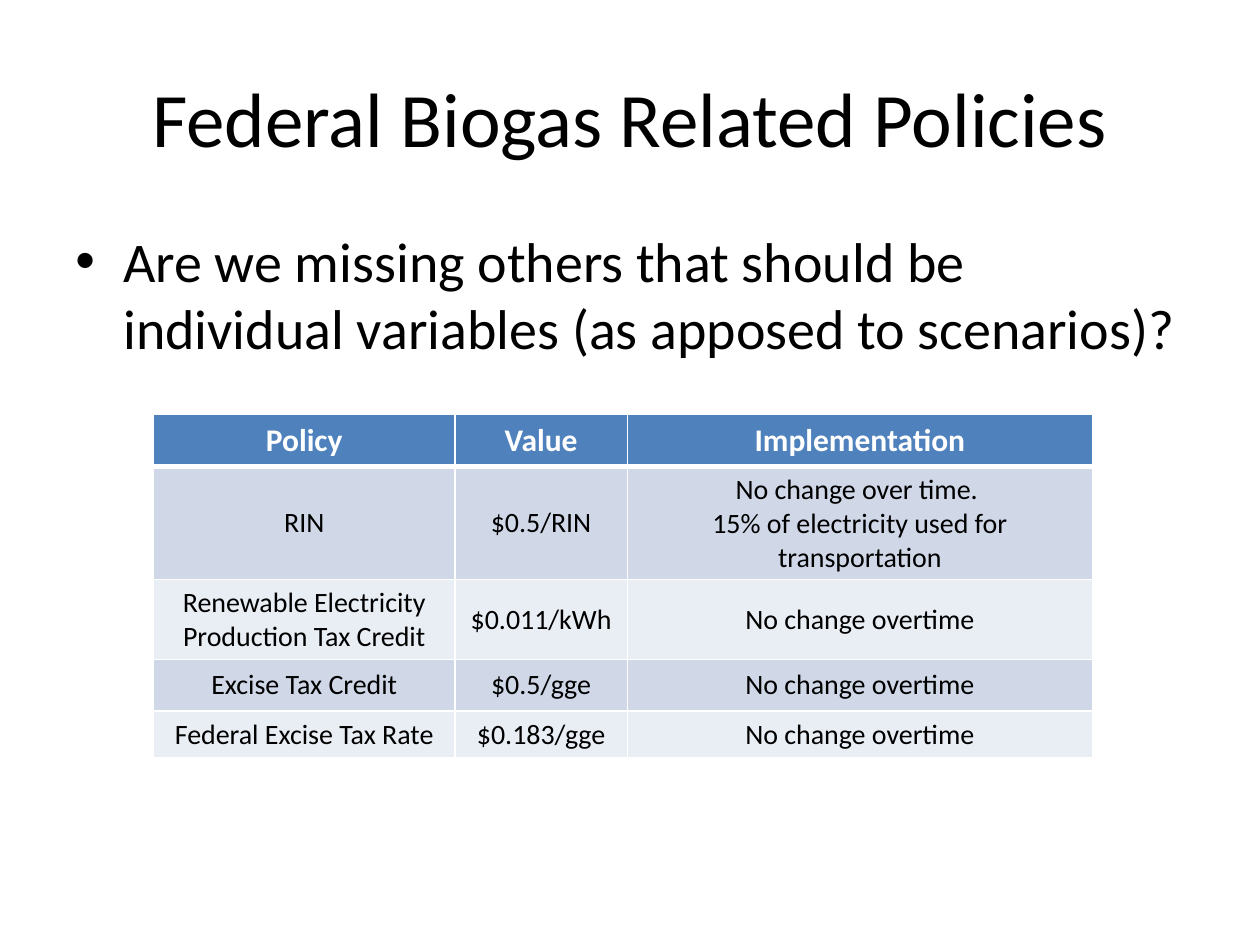
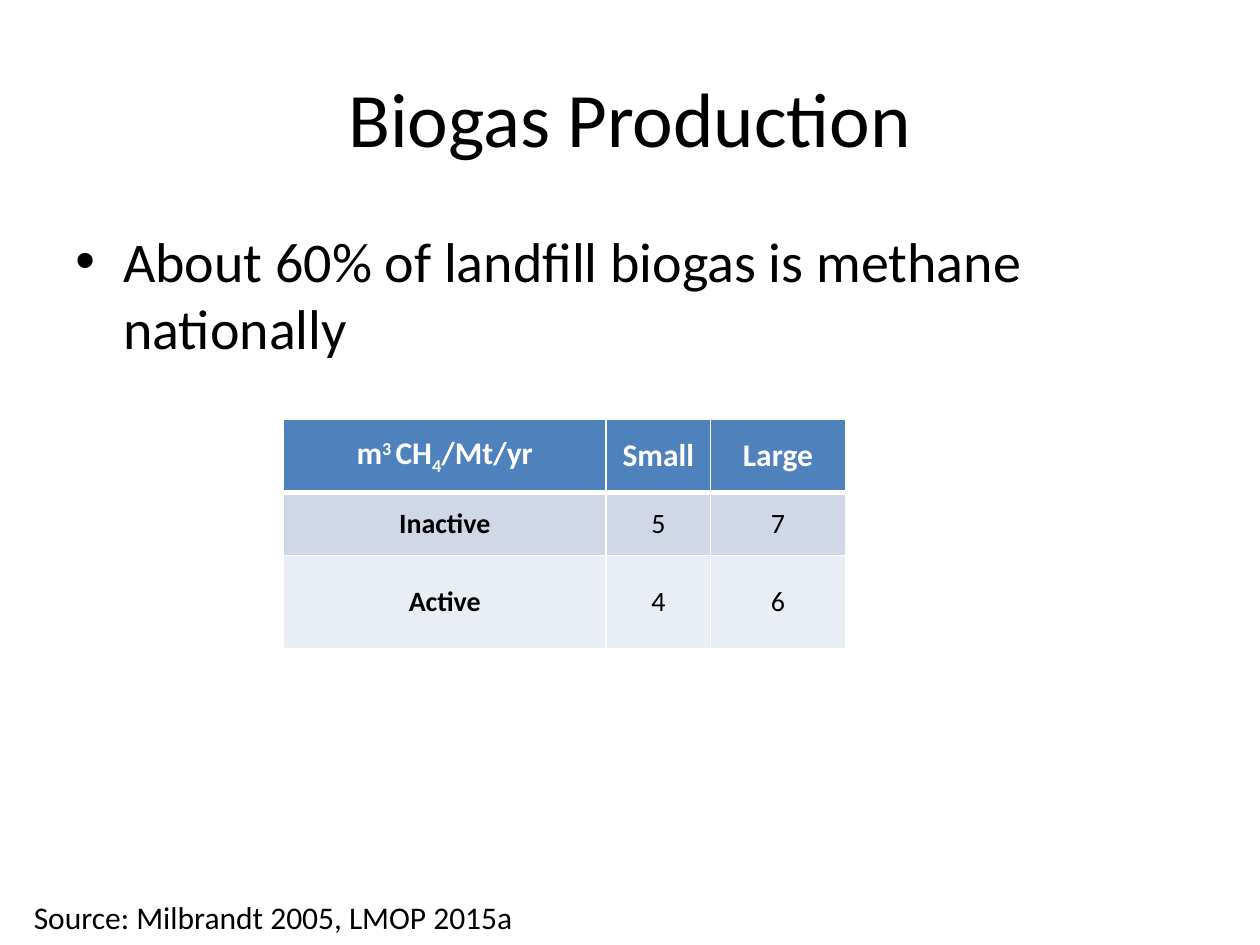
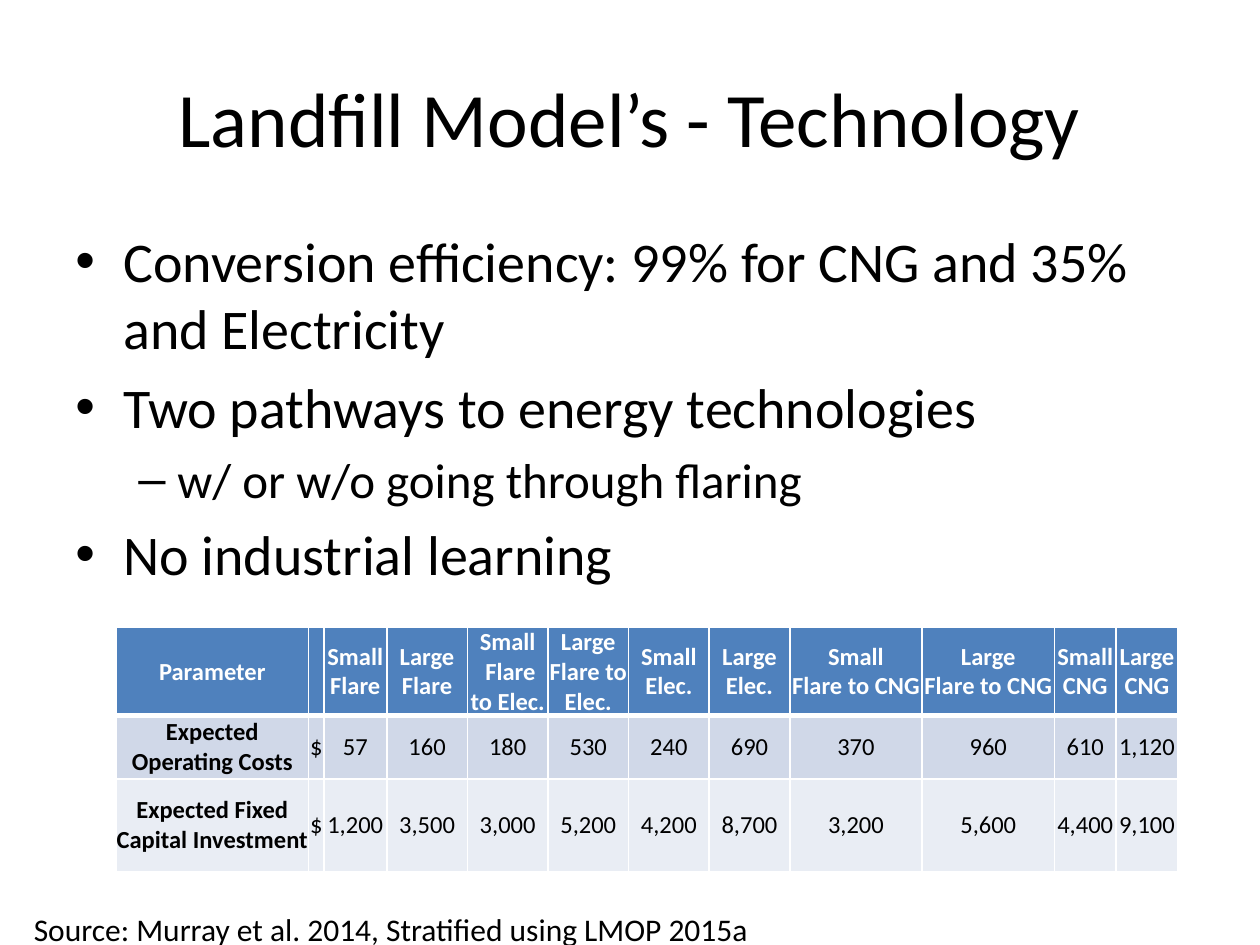
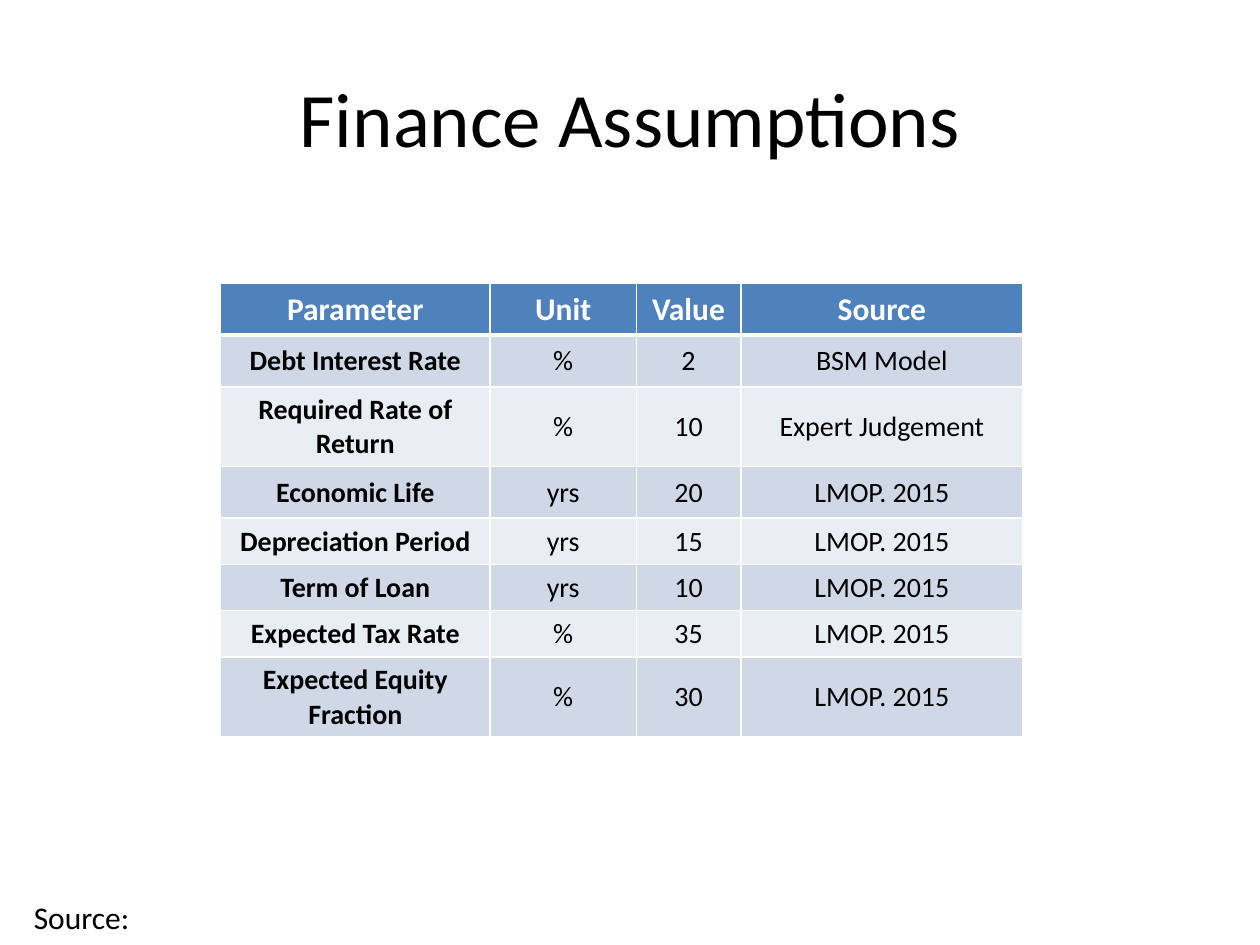
import dataclasses

import lxml.etree
import pptx
import pptx.dml.color
import pptx.enum.text
import pptx.oxml.ns
import pptx.util

ALIGN = pptx.enum.text.PP_ALIGN
ANCHOR = pptx.enum.text.MSO_ANCHOR
FIT = pptx.enum.text.MSO_AUTO_SIZE
qn = pptx.oxml.ns.qn


@dataclasses.dataclass(frozen=True)
class Theme:
    font: str = "Calibri"
    ink: str = "000000"
    paper: str = "FFFFFF"
    head: str = "4F81BD"
    bands: tuple = ("D0D8E8", "E9EDF4")
    title: int = 44
    points: tuple = (32, 28)
    marks: tuple = ("•", "–")
    indents: tuple = ((3.8, -3.8), (8.1, -3.1))
    note: int = 18
    thin: int = 1
    thick: int = 3


class Deck:
    COLS, ROWS = 100, 75

    def __init__(self, theme):
        self.theme = theme
        self.file = pptx.Presentation()
        self.file.slide_width = pptx.util.Inches(10)
        self.file.slide_height = pptx.util.Inches(7.5)
        self.slide = None

    def x(self, cols):
        return round(self.file.slide_width * cols / self.COLS)

    def y(self, rows):
        return round(self.file.slide_height * rows / self.ROWS)

    def area(self, left, top, width, height):
        return self.x(left), self.y(top), self.x(width), self.y(height)

    def start(self, title):
        self.slide = self.file.slides.add_slide(self.file.slide_layouts[6])
        frame = self.box(5, 3, 90, 12.5)
        frame.vertical_anchor = ANCHOR.MIDDLE
        para = frame.paragraphs[0]
        para.alignment = ALIGN.CENTER
        self.run(para, title, self.theme.title)

    def box(self, *area):
        frame = self.slide.shapes.add_textbox(*self.area(*area)).text_frame
        frame.word_wrap = True
        return frame

    def run(self, para, text, size, color=None, bold=False, base=0):
        run = para.add_run()
        run.text = text
        font = run.font
        font.name = self.theme.font
        font.size = pptx.util.Pt(size)
        font.bold = bold
        font.color.rgb = pptx.dml.color.RGBColor.from_string(color or self.theme.ink)
        if base:
            run._r.get_or_add_rPr().set("baseline", str(base * 1000))

    def paras(self, frame, count):
        return [frame.paragraphs[0]] + [frame.add_paragraph() for _ in range(count - 1)]

    def points(self, *items):
        frame = self.box(5, 17.5, 90, 49.5)
        for para, (level, text) in zip(self.paras(frame, len(items)), items):
            size = self.theme.points[level]
            para.level = level
            para.space_before = pptx.util.Pt(size * 0.2)
            props = para._p.get_or_add_pPr()
            margin, indent = self.theme.indents[level]
            props.set("marL", str(self.x(margin)))
            props.set("indent", str(self.x(indent)))
            lxml.etree.SubElement(props, qn("a:buFont")).set("typeface", "Arial")
            lxml.etree.SubElement(props, qn("a:buChar")).set("char", self.theme.marks[level])
            self.run(para, text, size)

    def note(self, text, width, top=70.8):
        frame = self.box(1.7, top, width, 4)
        frame.word_wrap = False
        frame.auto_size = FIT.SHAPE_TO_FIT_TEXT
        self.run(frame.paragraphs[0], text, self.theme.note)

    def table(self, left, top, height, cols, rows, data, sizes=(18, 16), tight=False, lead=True):
        area = self.area(left, top, sum(cols), height)
        shape = self.slide.shapes.add_table(len(rows), len(cols), *area)
        grid = shape.table
        for col, width in zip(grid.columns, cols):
            col.width = self.x(width)
        for row, tall in zip(grid.rows, rows):
            row.height = self.y(tall)
        shape.height = self.y(height)
        for r, line in enumerate(data):
            for c, value in enumerate(line):
                bold = r == 0 or (lead and c == 0)
                self.cell(grid.cell(r, c), r, value, sizes[r > 0], bold, tight)

    def cell(self, cell, row, value, size, bold, tight):
        theme = self.theme
        fill = theme.bands[(row - 1) % 2] if row else theme.head
        color = theme.ink if row else theme.paper
        cell.fill.solid()
        cell.fill.fore_color.rgb = pptx.dml.color.RGBColor.from_string(fill)
        cell.vertical_anchor = ANCHOR.MIDDLE
        if tight:
            cell.margin_left = cell.margin_right = 0
            cell.margin_top = cell.margin_bottom = 0
        self.edges(cell, row)
        if not value:
            return
        lines = [[(part, 0)] for part in value.split("\n")] if isinstance(value, str) else [value]
        for para, parts in zip(self.paras(cell.text_frame, len(lines)), lines):
            para.alignment = ALIGN.CENTER
            for text, base in parts:
                self.run(para, text, size, color, bold, base)

    def edges(self, cell, row):
        theme = self.theme
        props = cell._tc.get_or_add_tcPr()
        for place, side in enumerate("LRTB"):
            thick = (row, side) in ((0, "B"), (1, "T"))
            edge = lxml.etree.Element(qn("a:ln" + side))
            edge.set("w", str(pptx.util.Pt(theme.thick if thick else theme.thin)))
            fill = lxml.etree.SubElement(edge, qn("a:solidFill"))
            lxml.etree.SubElement(fill, qn("a:srgbClr")).set("val", theme.paper)
            props.insert(place, edge)


def main():
    deck = Deck(Theme())
    same = "No change overtime"
    short = [5.8, 5, 7.4]

    deck.start("Federal Biogas Related Policies")
    deck.points((0, "Are we missing others that should be individual variables (as apposed to scenarios)?"))
    deck.table(12.2, 32.9, 27.1, [23.9, 13.7, 36.9], [4.1] * 4 + [3.2], [
        ("Policy", "Value", "Implementation"),
        ("RIN", "$0.5/RIN", "No change over time. \n15% of electricity used for transportation"),
        ("Renewable Electricity Production Tax Credit", "$0.011/kWh", same),
        ("Excise Tax Credit", "$0.5/gge", same),
        ("Federal Excise Tax Rate", "$0.183/gge", same),
    ], lead=False)

    deck.start("Biogas Production")
    deck.points((0, "About 60% of landfill biogas is methane nationally"))
    yields = [("m", 0), ("3 ", 30), ("CH", 0), ("4", -25), ("/Mt/yr", 0)]
    deck.table(22.5, 33.3, 18.2, [25.6, 8.3, 10.7], short, [
        (yields, "Small", "Large"),
        ("Inactive", "5", "7"),
        ("Active", "4", "6"),
    ], tight=True)
    deck.note("Source: Milbrandt 2005, LMOP 2015a", 42)

    deck.start("Landfill Model’s - Technology")
    deck.points(
        (0, "Conversion efficiency: 99% for CNG and 35% and Electricity"),
        (0, "Two pathways to energy technologies"),
        (1, "w/ or w/o going through flaring"),
        (0, "No industrial learning"),
    )
    widths = [15.3, 1.2, 5] + [6.4] * 5 + [10.5] * 2 + [4.9] * 2
    deck.table(9.2, 49.8, 19.3, widths, short, [
        ("Parameter", "", "Small\nFlare", "Large\nFlare", "Small\n Flare to Elec.",
         "Large\nFlare to Elec.", "Small\nElec.", "Large\nElec.", "Small\nFlare to CNG",
         "Large\nFlare to CNG", "Small\nCNG", "Large\nCNG"),
        ("Expected Operating Costs", "$", "57", "160", "180", "530",
         "240", "690", "370", "960", "610", "1,120"),
        ("Expected Fixed Capital Investment", "$", "1,200", "3,500", "3,000", "5,200",
         "4,200", "8,700", "3,200", "5,600", "4,400", "9,100"),
    ], sizes=(14, 14), tight=True)
    deck.note("Source: Murray et al. 2014, Stratified using LMOP 2015a", 59.4, 71.7)

    deck.start("Finance Assumptions")
    lmop = "LMOP. 2015"
    deck.table(17.5, 22.5, 35.8, [21.4, 11.6, 8.3, 22.4], [4.1] * 4 + [3.2] * 4, [
        ("Parameter", "Unit", "Value", "Source"),
        ("Debt Interest Rate", "%", "2", "BSM Model"),
        ("Required Rate of Return", "%", "10", "Expert Judgement"),
        ("Economic Life", "yrs", "20", lmop),
        ("Depreciation Period", "yrs", "15", lmop),
        ("Term of Loan", "yrs", "10", lmop),
        ("Expected Tax Rate", "%", "35", lmop),
        ("Expected Equity Fraction", "%", "30", lmop),
    ])
    deck.note("Source:", 10.3)

    deck.file.save("out.pptx")


if __name__ == "__main__":
    main()
